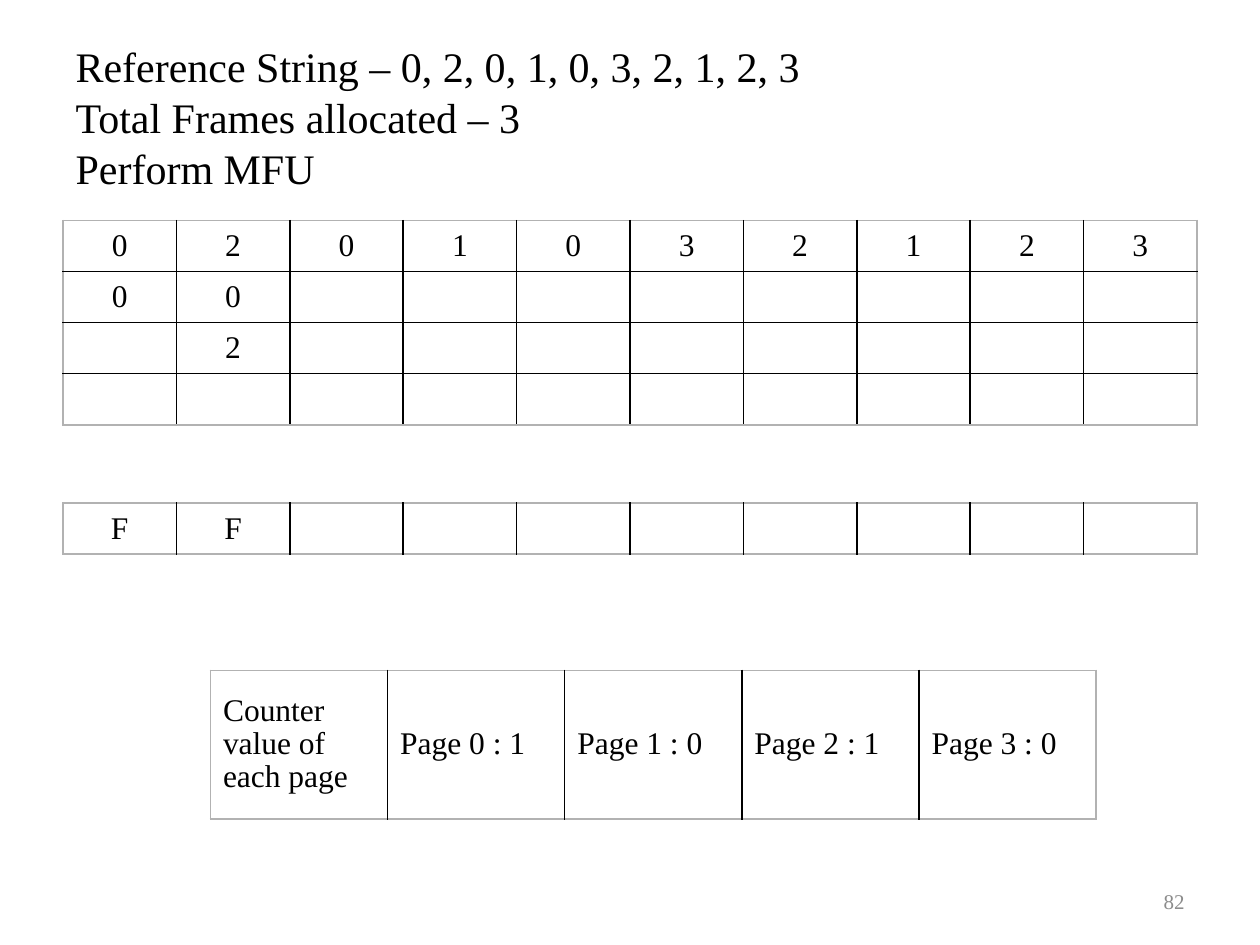
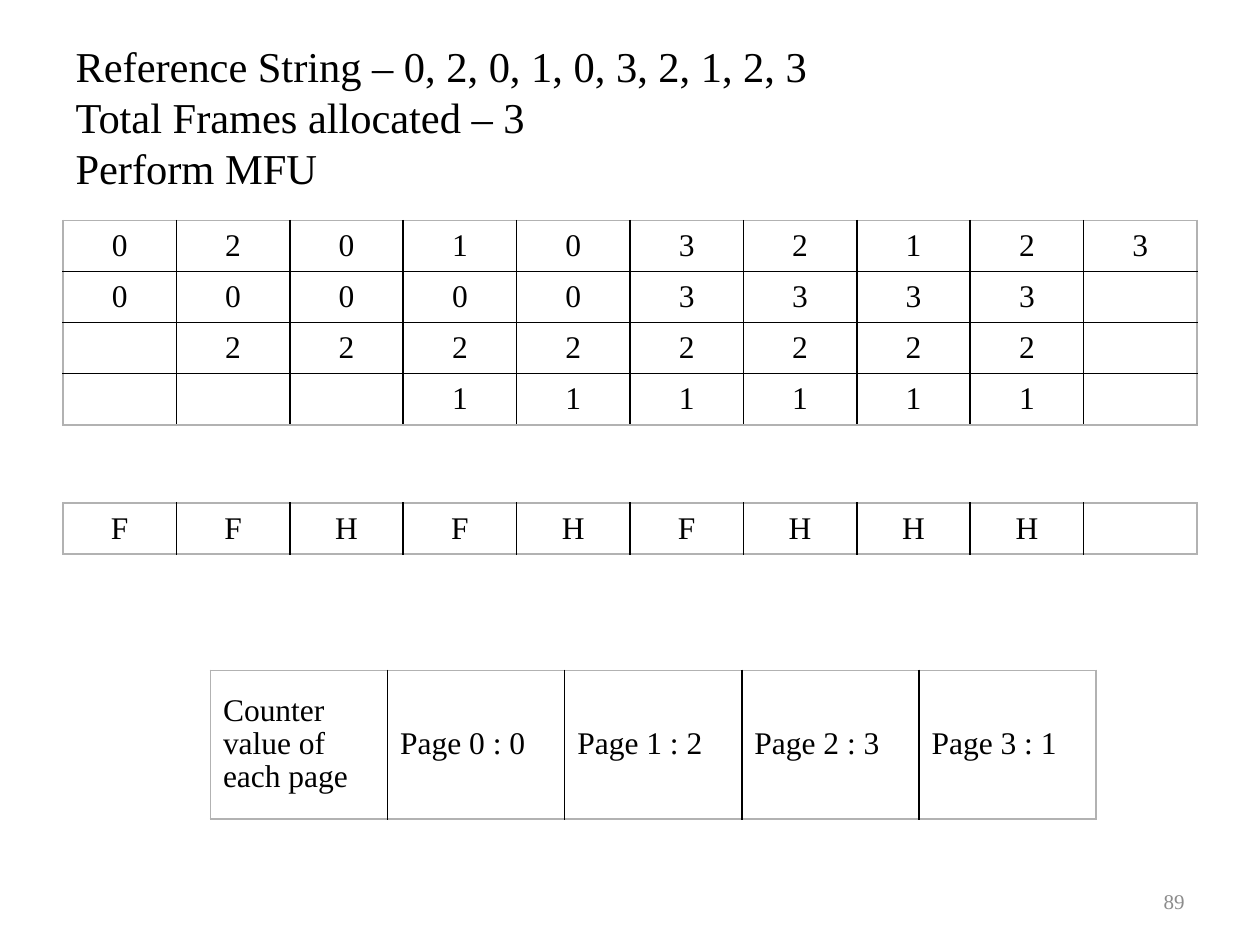
from pptx import Presentation
from pptx.dml.color import RGBColor
from pptx.enum.text import MSO_ANCHOR as Anchor, MSO_AUTO_SIZE as AutoSize, PP_ALIGN as Align
from pptx.oxml import parse_xml
from pptx.oxml.ns import nsdecls
from pptx.util import Pt

PX = 9144
FONT = "Times New Roman"
BLACK = RGBColor(0x00, 0x00, 0x00)
GRAY = RGBColor(0x8C, 0x8C, 0x8C)
EDGE = RGBColor(0xB2, 0xB2, 0xB2)

REFERENCES = "0201032123"
HEADING = f"Reference String – {', '.join(REFERENCES)}\vTotal Frames allocated – 3\vPerform MFU"

STEPS = [
    dict(number=82, title_size=24, frames=["00", " 2", ""], results="FF", counters=[1, 0, 1, 0]),
    dict(number=89, title_size=24.3, frames=["000003333", " 22222222", "   111111"],
         results="FFHFHFHHH", counters=[0, 2, 3, 1]),
]


def write_text(frame, text, size=18, color=BLACK, align=Align.LEFT, spacing=None):
    para = frame.paragraphs[0]
    para.text = text
    para.alignment = align
    para.line_spacing = spacing
    for span in para.runs:
        span.font.name = FONT
        span.font.size = Pt(size)
        span.font.color.rgb = color


def border_line(side, color):
    return parse_xml(
        f'<a:ln{side} {nsdecls("a")} w="12700"><a:solidFill><a:srgbClr val="{color}"/>'
        f'</a:solidFill></a:ln{side}>')


class SlideBuilder:
    def __init__(self, deck):
        self.deck = deck
        self.page = None

    def start_page(self):
        self.page = self.deck.slides.add_slide(self.deck.slide_layouts[5])

    def title(self, text, left, top, width, height, size):
        box = self.page.shapes.title
        box.left, box.top, box.width, box.height = (n * PX for n in (left, top, width, height))
        frame = box.text_frame
        frame.auto_size = AutoSize.NONE
        frame.vertical_anchor = Anchor.MIDDLE
        write_text(frame, text, size=size, spacing=Pt(29))

    def table(self, rows, left, top, width, height, **text_format):
        row_count, column_count = len(rows), len(rows[0])
        table = self.page.shapes.add_table(
            row_count, column_count, *(n * PX for n in (left, top, width, height))).table
        table.first_row = table.horz_banding = False
        for r, row in enumerate(rows):
            for c, text in enumerate(row):
                cell = table.cell(r, c)
                cell.vertical_anchor = Anchor.MIDDLE
                outer = dict(L=c == 0, R=c == column_count - 1, T=r == 0, B=r == row_count - 1)
                properties = cell._tc.get_or_add_tcPr()
                for side, is_outer in outer.items():
                    properties.append(border_line(side, EDGE if is_outer else BLACK))
                cell.fill.background()
                write_text(cell.text_frame, text.strip(), **text_format)

    def page_number(self, number):
        box = self.page.shapes.add_textbox(717 * PX, 695 * PX, 233 * PX, 40 * PX)
        frame = box.text_frame
        frame.word_wrap = True
        frame.vertical_anchor = Anchor.MIDDLE
        write_text(frame, str(number), size=12, color=GRAY, align=Align.RIGHT)


def main():
    deck = Presentation()
    deck.slide_width, deck.slide_height = 1000 * PX, 750 * PX
    builder = SlideBuilder(deck)
    column_count = len(REFERENCES)
    for step in STEPS:
        builder.start_page()
        builder.title(HEADING, 50, 30, 900, 125, step["title_size"])
        frames = [row.ljust(column_count) for row in step["frames"]]
        builder.table([REFERENCES, *frames], 50, 175, 900, 162, align=Align.CENTER)
        builder.table([step["results"].ljust(column_count)], 50, 399, 900, 39, align=Align.CENTER)
        counters = [f"Page {page} : {count}" for page, count in enumerate(step["counters"])]
        builder.table([["Counter value of each page", *counters]], 167, 532, 703, 118, spacing=0.95)
        builder.page_number(step["number"])
    deck.save("out.pptx")


if __name__ == "__main__":
    main()
